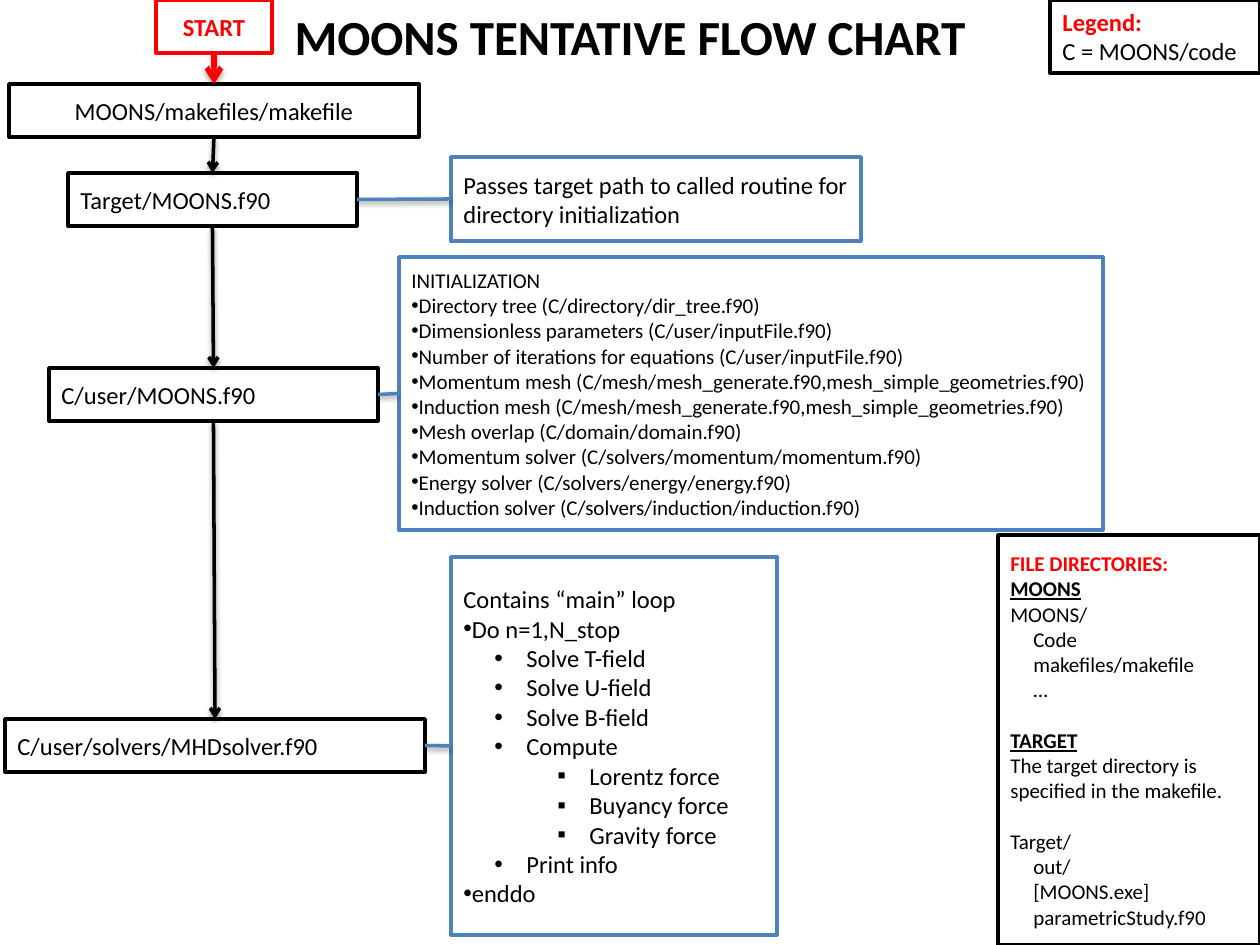
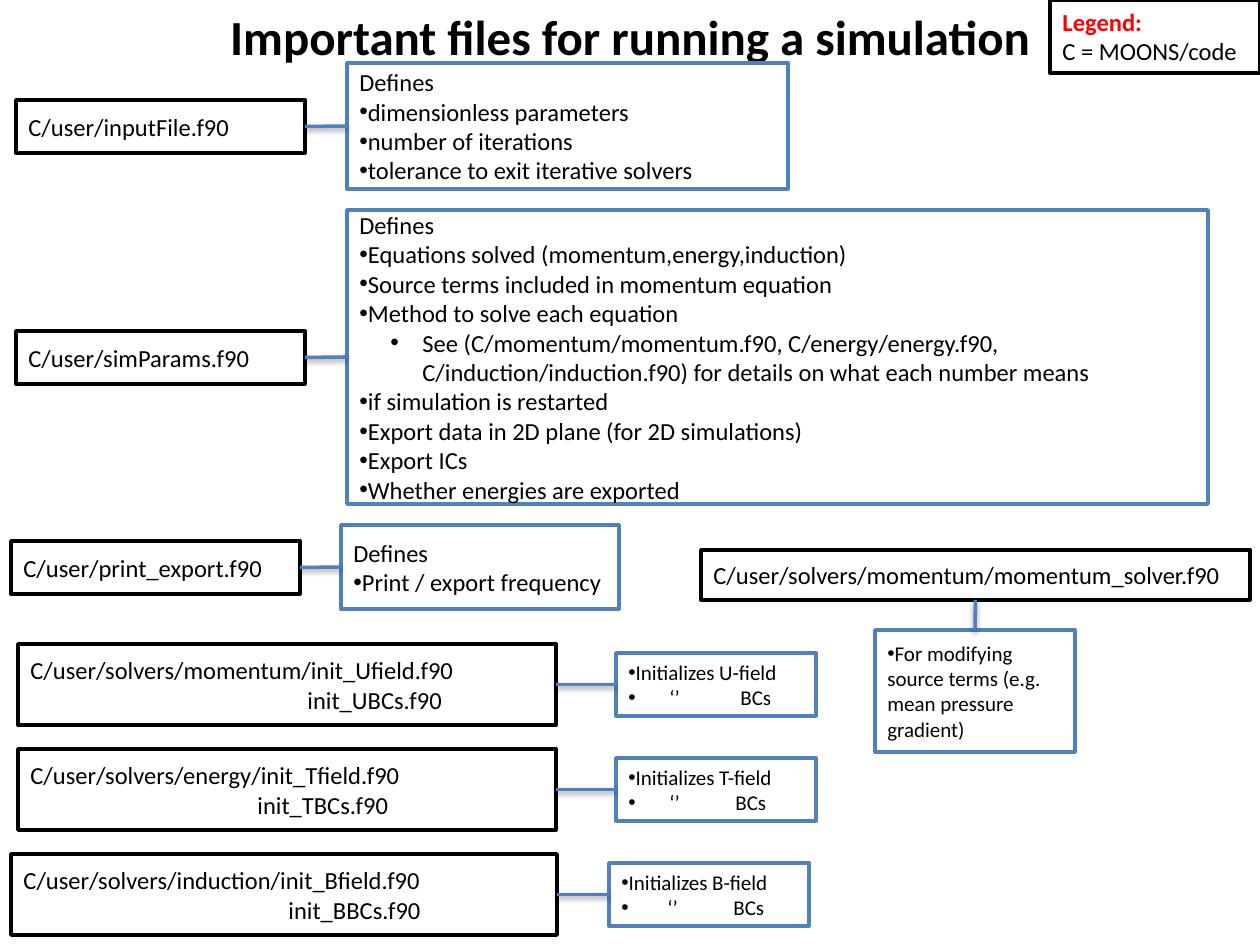
from dataclasses import dataclass

from lxml import etree
from pptx import Presentation
from pptx.dml.color import RGBColor
from pptx.enum.shapes import MSO_CONNECTOR, MSO_SHAPE
from pptx.enum.text import MSO_ANCHOR, MSO_AUTO_SIZE, PP_ALIGN
from pptx.oxml.ns import qn
from pptx.shapes.autoshape import Shape
from pptx.slide import Slide
from pptx.util import Emu, Pt

PX_PER_INCH = 126


def px(pixels: float) -> Emu:
    return Emu(round(pixels * 914400 / PX_PER_INCH))


@dataclass(frozen=True)
class Theme:
    font: str = "Calibri"
    bullet_font: str = "Arial"
    ink: str = "000000"
    paper: str = "FFFFFF"
    accent: str = "FF0000"
    note: str = "4F81BD"
    title_size: int = 28
    body_size: int = 14
    small_size: int = 12
    line_width: int = 2
    start_width: int = 3


THEME = Theme()


@dataclass(frozen=True)
class Para:
    text: str
    bullet: str = ""
    indent: int = 0
    hang: int = 0
    bold: bool = False
    underline: bool = False
    color: str = THEME.ink
    gap: float = 0
    tabs: tuple[int, ...] = ()


@dataclass(frozen=True)
class Box:
    left: int
    top: int
    width: int
    height: int
    paras: tuple[Para, ...]
    border: str = THEME.ink
    size: int = THEME.body_size
    filled: bool = True
    centered: bool = False


# Paragraph kinds
def plain(*texts: str) -> tuple[Para, ...]:
    return tuple(Para(text) for text in texts)


def items(*texts: str) -> tuple[Para, ...]:
    return tuple(Para(text, "•") for text in texts)


def subitems(*texts: str) -> tuple[Para, ...]:
    return tuple(Para(text, "•", indent=63, hang=32) for text in texts)


def details(*texts: str) -> tuple[Para, ...]:
    return tuple(Para(text, "▪", indent=126, hang=32) for text in texts)


def folder(*texts: str) -> tuple[Para, ...]:
    return tuple(Para(text, indent=23) for text in texts)


# Drawing
def write_run(paragraph, text: str, size: int, color: str, bold: bool) -> None:
    run = paragraph.add_run()
    run.text = text
    run.font.name = THEME.font
    run.font.size = Pt(size)
    run.font.bold = bold
    run.font.color.rgb = RGBColor.from_string(color)


def format_indent(paragraph, para: Para) -> None:
    props = paragraph._p.get_or_add_pPr()
    props.set("marL", str(px(para.indent)))
    props.set("indent", str(px(-para.hang)))
    if para.bullet:
        etree.SubElement(props, qn("a:buFont"), typeface=THEME.bullet_font)
        etree.SubElement(props, qn("a:buChar"), char=para.bullet)
    if para.tabs:
        stops = etree.SubElement(props, qn("a:tabLst"))
        for stop in para.tabs:
            etree.SubElement(stops, qn("a:tab"), pos=str(px(stop)), algn="l")


def draw_box(slide: Slide, box: Box) -> Shape:
    shape = slide.shapes.add_shape(
        MSO_SHAPE.RECTANGLE, px(box.left), px(box.top), px(box.width), px(box.height))
    shape.shadow.inherit = False
    if box.filled:
        shape.fill.solid()
        shape.fill.fore_color.rgb = RGBColor.from_string(THEME.paper)
    else:
        shape.fill.background()
    shape.line.color.rgb = RGBColor.from_string(box.border)
    shape.line.width = Pt(THEME.line_width)
    frame = shape.text_frame
    frame.word_wrap = True
    frame.vertical_anchor = MSO_ANCHOR.MIDDLE
    for number, para in enumerate(box.paras):
        paragraph = frame.add_paragraph() if number else frame.paragraphs[0]
        paragraph.alignment = PP_ALIGN.CENTER if box.centered else PP_ALIGN.LEFT
        if para.gap:
            paragraph.space_before = Pt(para.gap)
        format_indent(paragraph, para)
        write_run(paragraph, para.text, box.size, para.color, para.bold)
        if para.underline:
            paragraph.runs[0].font.underline = True
    return shape


def link(slide: Slide, source: Shape, target: Shape, color: str = THEME.note,
         down: bool = False, arrow: bool = False, width: int = THEME.line_width) -> None:
    connector = slide.shapes.add_connector(MSO_CONNECTOR.STRAIGHT, 0, 0, 0, 0)
    connector.begin_connect(source, 2 if down else 3)
    connector.end_connect(target, 0 if down else 1)
    connector.line.color.rgb = RGBColor.from_string(color)
    connector.line.width = Pt(width)
    if arrow:
        etree.SubElement(connector.line._get_or_add_ln(), qn("a:tailEnd"), type="arrow")
    # Soft shadow straight below the line
    effects = etree.SubElement(connector._element.spPr, qn("a:effectLst"))
    shadow = etree.SubElement(effects, qn("a:outerShdw"), blurRad="40000", dist="20000",
                              dir="5400000", rotWithShape="0")
    tint = etree.SubElement(shadow, qn("a:srgbClr"), val=THEME.ink)
    etree.SubElement(tint, qn("a:alpha"), val="38000")


LEGEND = Box(1050, 0, 210, 73, (
    Para("Legend:", bold=True, color=THEME.accent), Para("C = MOONS/code")))


def new_slide(deck, heading: str) -> Slide:
    slide = deck.slides.add_slide(deck.slide_layouts[5])
    title = slide.shapes.title
    title.left, title.top, title.width, title.height = px(0), px(0), px(1260), px(72)
    frame = title.text_frame
    frame.word_wrap = True
    frame.auto_size = MSO_AUTO_SIZE.SHAPE_TO_FIT_TEXT
    frame.vertical_anchor = MSO_ANCHOR.TOP
    frame.paragraphs[0].alignment = PP_ALIGN.CENTER
    write_run(frame.paragraphs[0], heading, THEME.title_size, THEME.ink, True)
    draw_box(slide, LEGEND)
    return slide


def annotate(slide: Slide, file: Box, note: Box, down: bool = False) -> Shape:
    file_shape = draw_box(slide, file)
    link(slide, file_shape, draw_box(slide, note), down=down)
    return file_shape


def build_flow_chart(deck) -> None:
    slide = new_slide(deck, "MOONS TENTATIVE FLOW CHART")

    # Entry points
    start = draw_box(slide, Box(
        156, 0, 116, 53, (Para("START", bold=True, color=THEME.accent),),
        border=THEME.accent, filled=False, centered=True))
    makefile = draw_box(slide, Box(
        9, 84, 410, 53, plain("MOONS/makefiles/makefile"), filled=False, centered=True))

    # Called routines and what they do
    target = annotate(
        slide,
        Box(68, 173, 289, 53, plain("Target/MOONS.f90")),
        Box(451, 157, 410, 84, plain(
            "Passes target path to called routine for directory initialization"),
            border=THEME.note))
    user = annotate(
        slide,
        Box(49, 368, 329, 53, plain("C/user/MOONS.f90")),
        Box(399, 257, 704, 273, plain("INITIALIZATION") + items(
            "Directory tree (C/directory/dir_tree.f90)",
            "Dimensionless parameters (C/user/inputFile.f90)",
            "Number of iterations for equations (C/user/inputFile.f90)",
            "Momentum mesh (C/mesh/mesh_generate.f90,mesh_simple_geometries.f90)",
            "Induction mesh (C/mesh/mesh_generate.f90,mesh_simple_geometries.f90)",
            "Mesh overlap (C/domain/domain.f90)",
            "Momentum solver (C/solvers/momentum/momentum.f90)",
            "Energy solver (C/solvers/energy/energy.f90)",
            "Induction solver (C/solvers/induction/induction.f90)"),
            border=THEME.note, size=THEME.small_size))
    solver = annotate(
        slide,
        Box(5, 719, 420, 53, plain("C/user/solvers/MHDsolver.f90")),
        Box(451, 557, 326, 378,
            plain("Contains “main” loop") + items("Do n=1,N_stop")
            + subitems("Solve T-field", "Solve U-field", "Solve B-field", "Compute")
            + details("Lorentz force", "Buyancy force", "Gravity force")
            + subitems("Print info") + items("enddo"),
            border=THEME.note))

    # Order of calls
    link(slide, start, makefile, THEME.accent, down=True, arrow=True, width=THEME.start_width)
    calls = (makefile, target, user, solver)
    for caller, called in zip(calls, calls[1:]):
        link(slide, caller, called, THEME.ink, down=True, arrow=True)

    # File directories
    blank_line = 14.6
    draw_box(slide, Box(
        998, 535, 262, 410,
        (Para("FILE DIRECTORIES:", bold=True, color=THEME.accent),
         Para("MOONS", bold=True, underline=True))
        + plain("MOONS/") + folder("Code", "makefiles/makefile", "…")
        + (Para("TARGET", bold=True, underline=True, gap=blank_line),)
        + plain("The target directory is specified in the makefile.")
        + (Para("Target/", gap=blank_line),)
        + folder("out/", "[MOONS.exe]", "parametricStudy.f90"),
        size=THEME.small_size))


@dataclass(frozen=True)
class FieldInit:
    physics: str
    field: str
    left: int
    width: int
    file_indent: int
    note_left: int
    tabs: tuple[int, int]


FIELDS = (
    FieldInit("momentum", "U", 18, 538, 277, 616, (41, 112)),
    FieldInit("energy", "T", 18, 538, 227, 616, (41, 107)),
    FieldInit("induction", "B", 11, 546, 265, 609, (46, 112)),
)


def build_important_files(deck) -> None:
    slide = new_slide(deck, "Important files for running a simulation")

    # Input and export settings
    annotate(
        slide,
        Box(16, 100, 289, 53, plain("C/user/inputFile.f90")),
        Box(347, 63, 441, 126, plain("Defines") + items(
            "dimensionless parameters", "number of iterations",
            "tolerance to exit iterative solvers"), border=THEME.note))
    annotate(
        slide,
        Box(16, 331, 289, 53, plain("C/user/simParams.f90")),
        Box(347, 210, 861, 294, plain("Defines")
            + items("Equations solved (momentum,energy,induction)",
                    "Source terms included in momentum equation",
                    "Method to solve each equation")
            + subitems("See (C/momentum/momentum.f90, C/energy/energy.f90, "
                       "C/induction/induction.f90) for details on what each number means")
            + items("if simulation is restarted",
                    "Export data in 2D plane (for 2D simulations)",
                    "Export ICs", "Whether energies are exported"),
            border=THEME.note))
    annotate(
        slide,
        Box(11, 541, 289, 53, plain("C/user/print_export.f90")),
        Box(341, 525, 278, 84, plain("Defines") + items("Print / export frequency"),
            border=THEME.note))

    # Field initialization
    for row, init in enumerate(FIELDS):
        top = 644 + 105 * row
        annotate(
            slide,
            Box(init.left, top, init.width, 81, (
                Para(f"C/user/solvers/{init.physics}/init_{init.field}field.f90"),
                Para(f"init_{init.field}BCs.f90", indent=init.file_indent))),
            Box(init.note_left, top + 9, 200, 63, (
                Para(f"Initializes {init.field}-field", "•"),
                Para("\t‘’\tBCs", "•", tabs=init.tabs)),
                border=THEME.note, size=THEME.small_size))

    # Momentum solver
    annotate(
        slide,
        Box(701, 550, 549, 50, plain("C/user/solvers/momentum/momentum_solver.f90")),
        Box(875, 630, 200, 122, items(
            "For modifying source terms (e.g. mean pressure gradient)"),
            border=THEME.note, size=THEME.small_size),
        down=True)


def main() -> None:
    deck = Presentation()
    deck.slide_width, deck.slide_height = px(1260), px(945)
    build_flow_chart(deck)
    build_important_files(deck)
    deck.save("out.pptx")


main()
